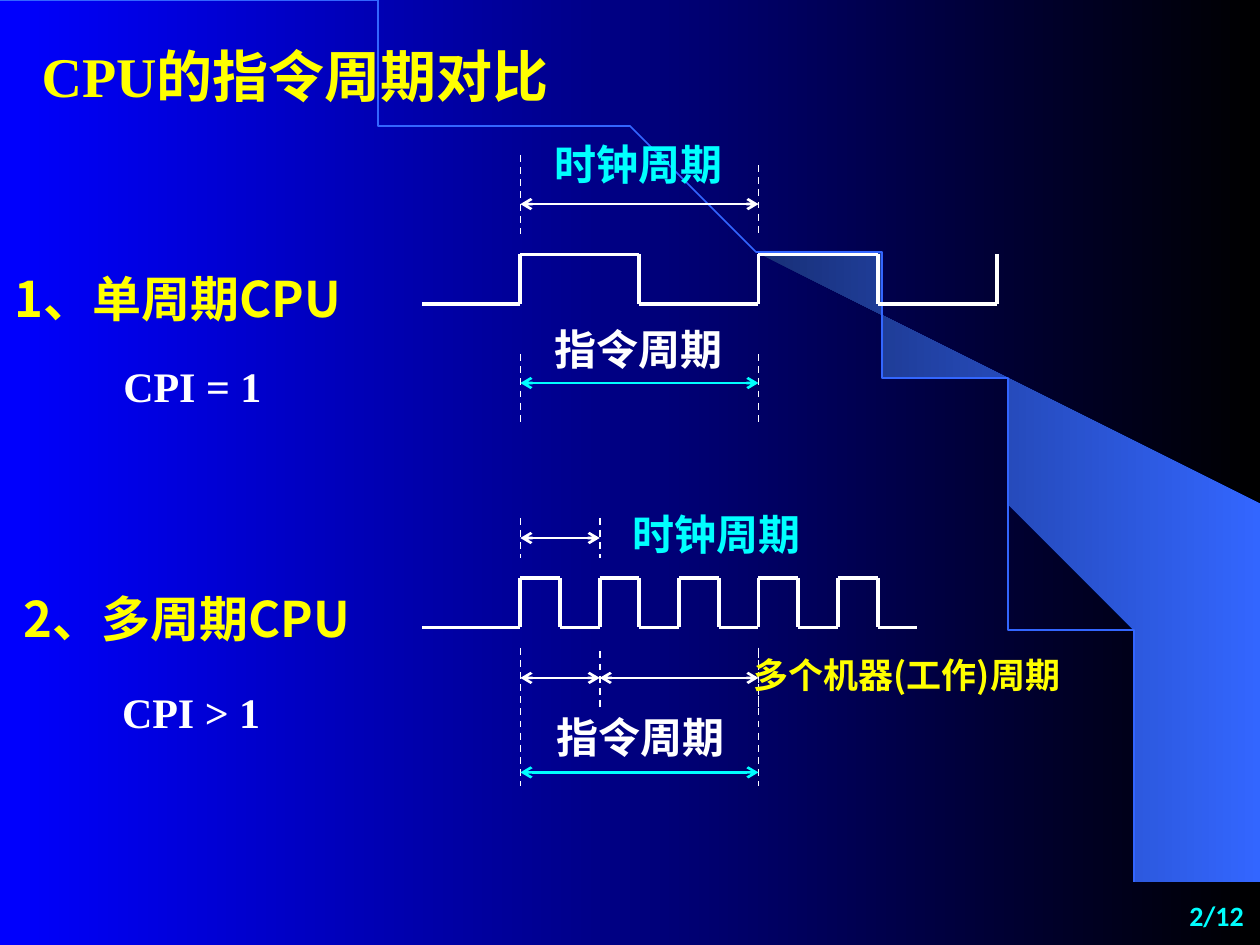
from dataclasses import dataclass
from itertools import pairwise

from lxml.etree import SubElement
from pptx import Presentation
from pptx.dml.color import RGBColor
from pptx.enum.dml import MSO_LINE
from pptx.enum.shapes import MSO_CONNECTOR
from pptx.enum.text import MSO_ANCHOR, MSO_AUTO_SIZE, PP_ALIGN
from pptx.oxml.ns import qn
from pptx.util import Inches, Pt

WHITE, CYAN, YELLOW = "FFFFFF", "00FFFF", "FFFF00"
SANS, SERIF = "Noto Sans CJK SC", "Times New Roman"
LEAD, START = 3.35, 4.13  # left end of the waves, first rising edge
SLOW, FAST = 0.945, 0.315  # half clock periods
FAST_END = START + 2 * FAST
CYCLE_END = START + 2 * SLOW


@dataclass
class Label:
    text: str
    left: float
    top: float
    width: float
    height: float = 0.5
    size: int = 24
    color: str = WHITE
    font: str = SANS


@dataclass
class Wave:
    low: float
    half_period: float
    edges: int
    tail: float = 0


@dataclass
class Guide:
    x: float
    top: float
    bottom: float


@dataclass
class Span:
    left: float
    right: float
    y: float
    color: str = WHITE


LABELS = [
    Label("指令周期", 4.3, 2.52, 1.7),
    Label("时钟周期", 4.3, 1.05, 1.7, color=CYAN),
    Label("时钟周期", 4.92, 3.99, 1.73, color=CYAN),
    Label("指令周期", 4.32, 5.6, 1.7),
    Label("多个机器(工作)周期", 5.88, 5.14, 3.16, 0.44, 20, YELLOW),
    Label("1、单周期CPU", 0.02, 2.08, 3.11, 0.57, 28, YELLOW),
    Label("2、多周期CPU", 0.09, 4.62, 3.11, 0.57, 28, YELLOW),
    Label("CPI = 1", 0.88, 2.81, 1.29, font=SERIF),
    Label("CPI > 1", 0.87, 5.4, 1.29, font=SERIF),
]
WAVES = [Wave(2.41, SLOW, 5), Wave(4.98, FAST, 10, tail=FAST)]
GUIDES = [
    Guide(START, 2.81, 3.36), Guide(CYCLE_END, 2.81, 3.36),
    Guide(START, 1.23, 1.86), Guide(CYCLE_END, 1.31, 1.86),
    Guide(START, 4.11, 4.43), Guide(FAST_END, 4.11, 4.43),
    Guide(FAST_END, 5.17, 5.64), Guide(CYCLE_END, 5.17, 5.64),
    Guide(START, 5.14, 6.24), Guide(CYCLE_END, 5.14, 6.24),
]
SPANS = [
    Span(START, CYCLE_END, 3.04, CYAN),
    Span(START, CYCLE_END, 1.62),
    Span(START, FAST_END, 4.27),
    Span(START, CYCLE_END, 6.13, CYAN),
    Span(START, FAST_END, 5.38),
    Span(FAST_END, CYCLE_END, 5.38),
]
BEAM = [
    (9.2, 7.48), (9.99, 7.49), (9.99, 4.23), (5.89, 1.73), (6.24, 1.99), (6.53, 2.22),
    (6.85, 2.5), (7.16, 2.8), (7.62, 3.3), (8.03, 3.84), (8.32, 4.31), (8.58, 4.79),
    (8.78, 5.28), (8.93, 5.72), (9.03, 6.09), (9.13, 6.56), (9.17, 6.96),
]


def rgb(color: str) -> RGBColor:
    return RGBColor.from_string(color)


def fill_gradient(fill, first: str, last: str) -> None:
    fill.gradient()
    fill.gradient_angle = 0
    for stop, color in zip(fill.gradient_stops, (first, last)):
        stop.color.rgb = rgb(color)


def add_outline(page, points: list, closed: bool):
    builder = page.shapes.build_freeform(*points[0], scale=Inches(1))
    builder.add_line_segments(points[1:], close=closed)
    shape = builder.convert_to_shape()
    shape.shadow.inherit = False
    return shape


def draw_backdrop(page) -> None:
    fill_gradient(page.background.fill, "0000FF", "000000")
    beam = add_outline(page, BEAM, closed=True)
    fill_gradient(beam.fill, "182F76", "3366FF")
    beam.line.fill.background()

    steps = [i / 60 for i in range(61)]
    curve = [(3 * 5.08 * t * (1 - t) ** 2 + 9.2 * (3 * t**2 * (1 - t) + t**3),
              3 * 3.35 * t**2 * (1 - t) + 7.49 * t**3) for t in steps]
    arc = add_outline(page, curve, closed=False)
    arc.fill.background()
    arc.line.color.rgb = rgb("3366FF")
    arc.line.width = Pt(1)


def draw_line(page, start: tuple, end: tuple, color=WHITE, width=1.0, dashed=False, arrows=False) -> None:
    ends = [Inches(value) for value in (*start, *end)]
    line = page.shapes.add_connector(MSO_CONNECTOR.STRAIGHT, *ends)
    line.line.color.rgb = rgb(color)
    line.line.width = Pt(width)
    if dashed:
        line.line.dash_style = MSO_LINE.DASH
    properties = line._element.spPr
    if arrows:
        outline = properties.find(qn("a:ln"))
        for tag in ("a:headEnd", "a:tailEnd"):
            SubElement(outline, qn(tag), type="arrow")
    SubElement(properties, qn("a:effectLst"))


def draw_wave(page, wave: Wave) -> None:
    level, other = wave.low, wave.low - 0.39
    points = [(LEAD, level)]
    for edge in range(wave.edges):
        x = START + edge * wave.half_period
        points += [(x, level), (x, other)]
        level, other = other, level
    if wave.tail:
        points.append((points[-1][0] + wave.tail, level))
    for start, end in pairwise(points):
        draw_line(page, start, end, width=2.25)


def write(box, label: Label, align=PP_ALIGN.LEFT, wrap=False) -> None:
    """Place a box or placeholder and fill it with the label's text."""
    box.left, box.top = Inches(label.left), Inches(label.top)
    box.width, box.height = Inches(label.width), Inches(label.height)
    frame = box.text_frame
    frame.word_wrap = wrap
    frame.auto_size = MSO_AUTO_SIZE.NONE
    frame.vertical_anchor = MSO_ANCHOR.TOP
    para = frame.paragraphs[0]
    para.alignment = align
    span = para.add_run()
    span.text = label.text
    span.font.size = Pt(label.size)
    span.font.bold = True
    span.font.name = label.font
    span.font.color.rgb = rgb(label.color)
    SubElement(span.font._element, qn("a:ea"), typeface=SANS)


def add_label(page, label: Label, **layout) -> None:
    write(page.shapes.add_textbox(0, 0, 0, 0), label, **layout)


def main() -> None:
    deck = Presentation()
    deck.slide_width, deck.slide_height = Inches(10), Inches(7.5)
    page = deck.slides.add_slide(deck.slide_layouts[5])
    draw_backdrop(page)
    for wave in WAVES:
        draw_wave(page, wave)
    for guide in GUIDES:
        draw_line(page, (guide.x, guide.top), (guide.x, guide.bottom), dashed=True)
    for span in SPANS:
        draw_line(page, (span.left, span.y), (span.right, span.y), span.color, 1.5, arrows=True)
    write(page.shapes.title, Label("CPU的指令周期对比", 0.23, 0.28, 4.56, 0.64, 32, YELLOW, SERIF))
    for label in LABELS:
        add_label(page, label)
    add_label(page, Label("2/12", 8.79, 7.08, 1.18, 0.39, 16, CYAN, "Calibri"),
              align=PP_ALIGN.RIGHT, wrap=True)
    deck.save("out.pptx")


if __name__ == "__main__":
    main()
